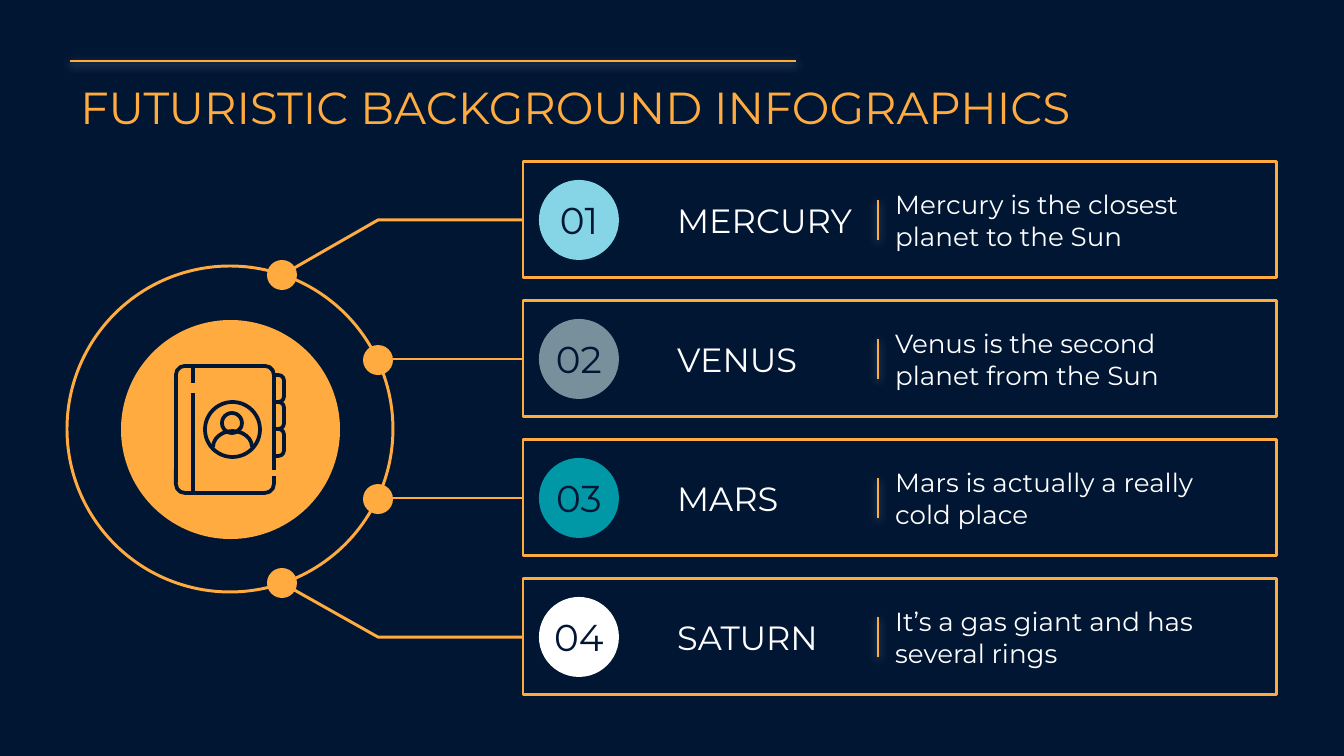
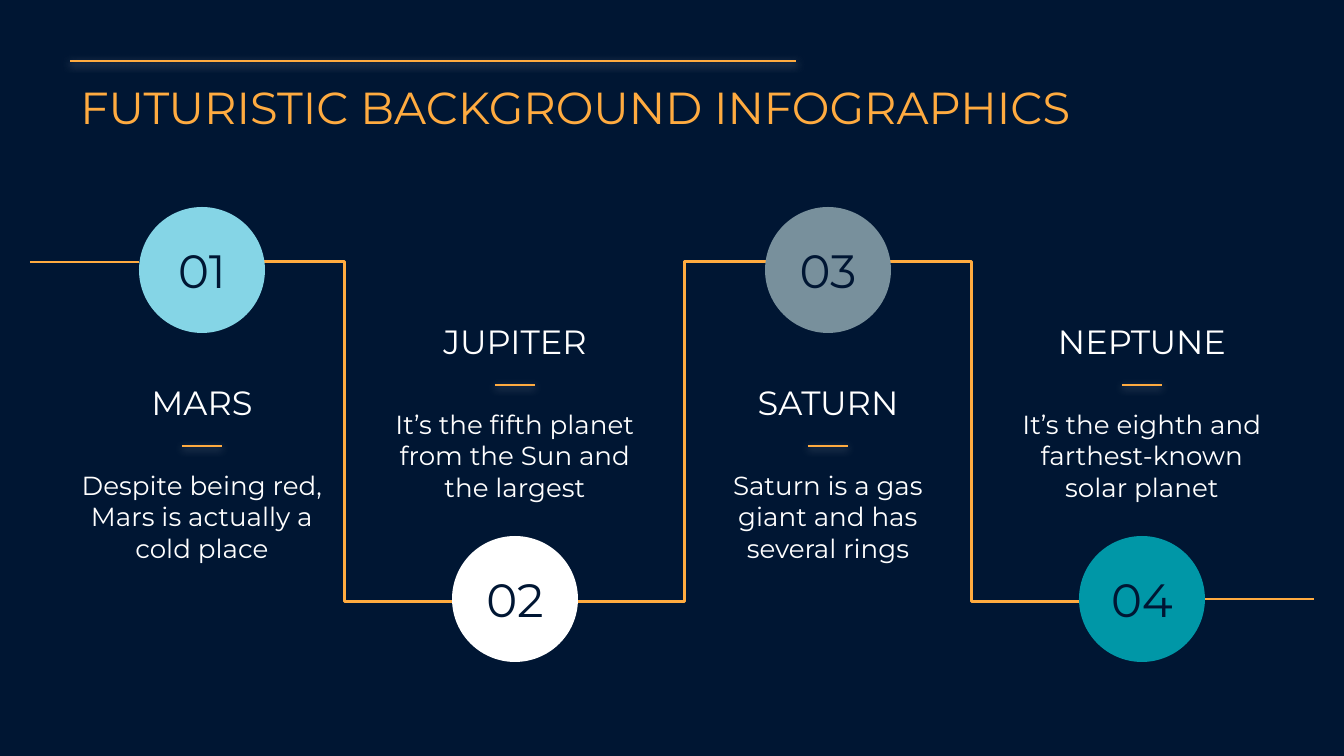
import pptx
import pptx.util
import pptx.dml.color
import pptx.enum.shapes
import pptx.enum.text
import pptx.oxml
import pptx.oxml.ns

PX = 6804  # EMU in one px; the page is 1344 px wide
NAVY, AMBER, WHITE = "001633", "FFAB40", "FFFFFF"
SKY, SLATE, TEAL = "85D5E6", "78909C", "0097A7"
FONT = "Montserrat"
TITLE = "FUTURISTIC BACKGROUND INFOGRAPHICS"
GLOW = (
    '<a:outerShdw blurRad="57150" dist="19050" dir="5400000" algn="bl" rotWithShape="0">'
    '<a:srgbClr val="FFFFFF"><a:alpha val="50000"/></a:srgbClr></a:outerShdw>'
)

colour = pptx.dml.color.RGBColor.from_string
Kind = pptx.enum.shapes.MSO_SHAPE
STRAIGHT = pptx.enum.shapes.MSO_CONNECTOR.STRAIGHT
Align = pptx.enum.text.PP_ALIGN
Anchor = pptx.enum.text.MSO_ANCHOR


def style(item, fill=None, line=None, width=1.6, glow=False):
    """Give a shape or connector its fill, its line and its shadow."""
    if hasattr(item, "fill"):
        if fill:
            item.fill.solid()
            item.fill.fore_color.rgb = colour(fill)
        else:
            item.fill.background()
    if line:
        item.line.color.rgb = colour(line)
        item.line.width = pptx.util.Pt(width)
    else:
        item.line.fill.background()
    effects = GLOW if glow else ""
    namespace = pptx.oxml.ns.nsdecls("a")
    item._element.spPr.append(
        pptx.oxml.parse_xml(f"<a:effectLst {namespace}>{effects}</a:effectLst>")
    )


def write(item, text, size, ink=WHITE, align=Align.LEFT, anchor=Anchor.MIDDLE, inset=0.1, wrap=True):
    """Set one paragraph of text in a shape."""
    frame = item.text_frame
    margin = pptx.util.Inches(inset)
    frame_format = {
        "word_wrap": wrap, "auto_size": pptx.enum.text.MSO_AUTO_SIZE.NONE, "vertical_anchor": anchor,
        "margin_left": margin, "margin_right": margin, "margin_top": margin, "margin_bottom": margin,
    }
    for name, value in frame_format.items():
        setattr(frame, name, value)
    para = frame.paragraphs[0]
    para.alignment = align
    span = para.add_run()
    span.text = text
    for name, value in {"name": FONT, "size": pptx.util.Pt(size), "bold": False}.items():
        setattr(span.font, name, value)
    span.font.color.rgb = colour(ink)


# Deck, background and the heading of both pages
deck = pptx.Presentation()
deck.slide_width, deck.slide_height = 1344 * PX, 756 * PX
background = deck.slide_master.background.fill
background.solid()
background.fore_color.rgb = colour(NAVY)

pages = []
for number in range(2):
    page = deck.slides.add_slide(deck.slide_layouts[5])
    rule = page.shapes.add_connector(STRAIGHT, 70 * PX, 61 * PX, 796 * PX, 61 * PX)
    style(rule, line=AMBER, width=0.75, glow=True)
    title = page.shapes.title
    for name, value in {"left": 67, "top": 66, "width": 1176, "height": 70}.items():
        setattr(title, name, value * PX)
    write(title, TITLE, 24, AMBER, anchor=Anchor.TOP)
    pages.append(page)

# Page 1: hub with four panels
shapes = pages[0].shapes
ring = shapes.add_shape(Kind.OVAL, 67 * PX, 266 * PX, 326 * PX, 326 * PX)
style(ring, line=AMBER)

planets = [
    ("01", SKY, "MERCURY", "Mercury is the closest planet to the Sun", (282, 275)),
    ("02", SLATE, "VENUS", "Venus is the second planet from the Sun", (378, 360)),
    ("03", TEAL, "MARS", "Mars is actually a really cold place", (378, 499)),
    ("04", WHITE, "SATURN", "It’s a gas giant and has several rings", (282, 583)),
]
for row, (number, fill, name, fact, (node_x, node_y)) in enumerate(planets):
    top = 162 + 139 * row
    middle = top + 58
    panel = shapes.add_shape(Kind.RECTANGLE, 523 * PX, top * PX, 754 * PX, 116 * PX)
    style(panel, line=AMBER)
    badge = shapes.add_shape(Kind.OVAL, 539 * PX, (top + 18) * PX, 80 * PX, 80 * PX)
    style(badge, fill)
    write(badge, number, 20, NAVY, Align.CENTER, inset=0, wrap=False)

    # Node on the ring and its link to the panel
    node = shapes.add_shape(Kind.OVAL, (node_x - 15) * PX, (node_y - 15) * PX, 30 * PX, 30 * PX)
    style(node, AMBER)
    if row in (1, 2):
        link = shapes.add_connector(STRAIGHT, node_x * PX, middle * PX, 523 * PX, middle * PX)
        link.end_connect(panel, 1)
    else:
        outline = shapes.build_freeform(523, middle, scale=PX)
        outline.add_line_segments([(378, middle), (node_x, node_y)], close=False)
        link = outline.convert_to_shape()
    style(link, line=AMBER)

    # Planet name, divider and fact
    for left, width, text, size in ((664, 218, name, 18), (882, 351, fact, 14)):
        box = shapes.add_textbox(left * PX, (top + 18) * PX, width * PX, 80 * PX)
        write(box, text, size)
    divider = shapes.add_connector(STRAIGHT, 878 * PX, (top + 38) * PX, 878 * PX, (top + 78) * PX)
    style(divider, line=AMBER, width=0.75, glow=True)

# Hub with an address book
hub = shapes.add_shape(Kind.OVAL, 121 * PX, 320 * PX, 219 * PX, 219 * PX)
style(hub, AMBER)
book_parts = [(Kind.ROUNDED_RECTANGLE, 262, 375 + 27 * tab, 22, 27, 0.25) for tab in range(3)]
book_parts += [
    (Kind.ROUNDED_RECTANGLE, 176, 366, 98, 127, 0.09),
    (Kind.OVAL, 205, 402, 55, 55, None),
    (Kind.OVAL, 222, 413, 20, 20, None),
]
for kind, left, top, width, height, rounding in book_parts:
    part = shapes.add_shape(kind, left * PX, top * PX, width * PX, height * PX)
    style(part, AMBER, NAVY, 2)
    if rounding:
        part.adjustments[0] = rounding
shoulders = shapes.add_shape(Kind.ARC, 213 * PX, 431 * PX, 39 * PX, 32 * PX)
shoulders.adjustments[0], shoulders.adjustments[1] = 108, 0
style(shoulders, line=NAVY, width=2)
for x, start, end, ink, width in (
    (193, 366, 383, NAVY, 2), (193, 393, 493, NAVY, 2), (274, 470, 476, AMBER, 3),
):
    stroke = shapes.add_connector(STRAIGHT, x * PX, start * PX, x * PX, end * PX)
    style(stroke, line=ink, width=width)

# Page 2: zigzag of four steps
shapes = pages[1].shapes
centres = [202 + 940 * column // 3 for column in range(4)]
levels = [262, 602, 262, 602]
for column, rail in enumerate((345, 685, 972)):
    level, next_level = levels[column:column + 2]
    outline = shapes.build_freeform(centres[column] + 59, level, scale=PX)
    outline.add_line_segments(
        [(rail, level), (rail, next_level), (centres[column + 1] - 59, next_level)], close=False
    )
    style(outline.convert_to_shape(), line=AMBER)
for start, end, level in ((30, 139, 262), (1205, 1314, 599)):
    tail = shapes.add_connector(STRAIGHT, start * PX, level * PX, end * PX, level * PX)
    style(tail, line=AMBER, width=1.5)

steps = [
    ("01", SKY, "MARS", "Despite being red, Mars is actually a cold place"),
    ("02", WHITE, "JUPITER", "It’s the fifth planet from the Sun and the largest"),
    ("03", SLATE, "SATURN", "Saturn is a gas giant and has several rings"),
    ("04", TEAL, "NEPTUNE", "It’s the eighth and farthest-known solar planet"),
]
for column, (number, fill, name, fact) in enumerate(steps):
    centre = centres[column]
    circle_top, text_top = ((207, 355), (536, 294))[column % 2]
    circle = shapes.add_shape(Kind.OVAL, (centre - 63) * PX, circle_top * PX, 126 * PX, 126 * PX)
    style(circle, fill)
    write(circle, number, 25, NAVY, Align.CENTER, inset=0, wrap=False)
    for top, height, text, size, anchor in (
        (text_top, 81, name, 18, Anchor.BOTTOM), (text_top + 101, 111, fact, 14, Anchor.TOP),
    ):
        box = shapes.add_textbox((centre - 135) * PX, top * PX, 270 * PX, height * PX)
        write(box, text, size, align=Align.CENTER, anchor=anchor)
    dash_y = text_top + 91
    dash = shapes.add_connector(STRAIGHT, (centre - 20) * PX, dash_y * PX, (centre + 20) * PX, dash_y * PX)
    style(dash, line=AMBER, width=0.75, glow=True)

deck.save("out.pptx")
